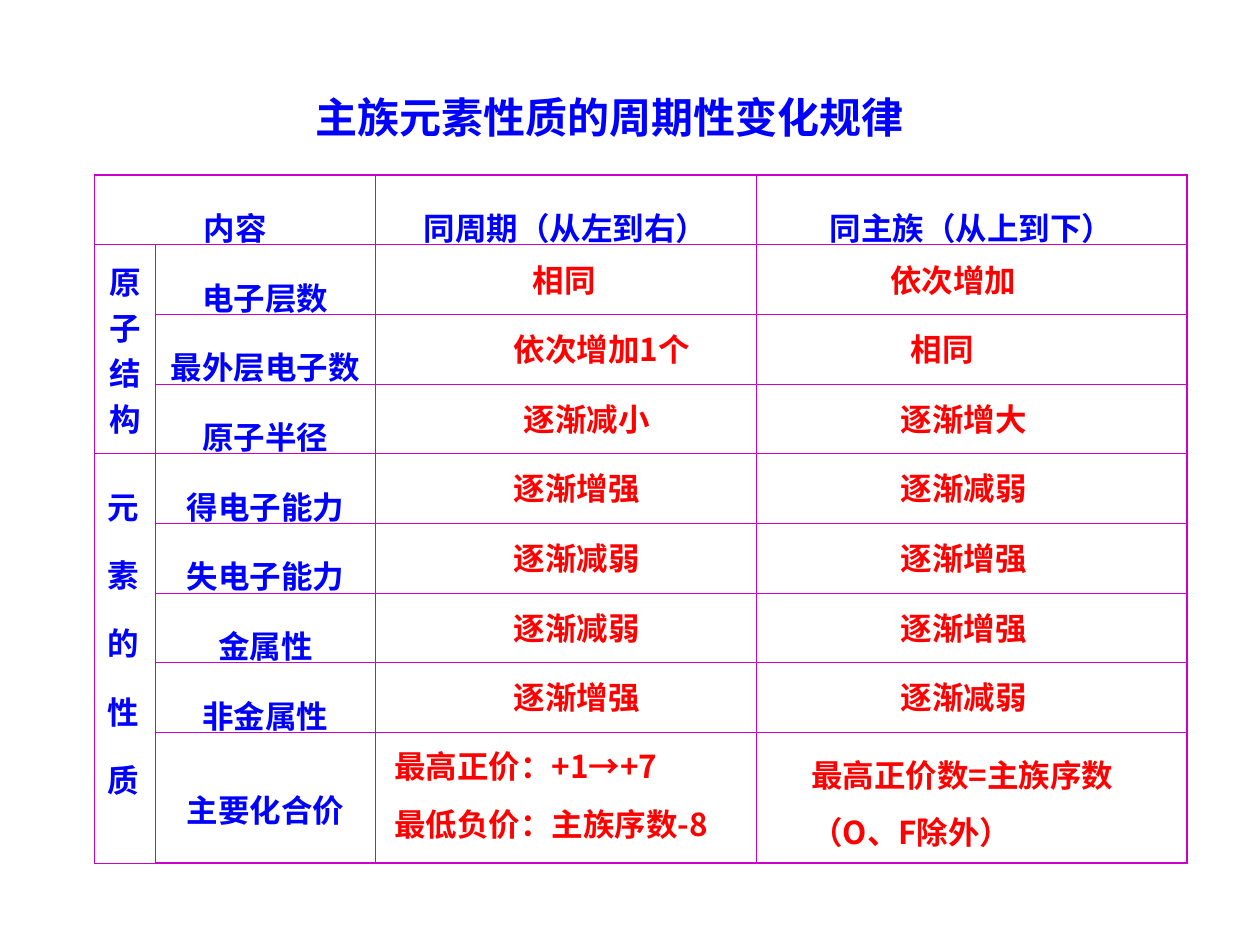
from pptx import Presentation
from pptx.dml.color import RGBColor
from pptx.enum.text import MSO_ANCHOR, MSO_AUTO_SIZE, PP_ALIGN
from pptx.oxml.ns import qn
from pptx.util import Pt
from lxml.etree import SubElement, Element

BLUE = RGBColor(0x00, 0x00, 0xFF)
RED = RGBColor(0xFF, 0x00, 0x00)
PURPLE = RGBColor(0xCC, 0x00, 0xCC)
LATIN, CJK = "Arial", "Noto Sans CJK SC"
INNER, OUTER = 0.45, 1.08

# Table grid, in points
LEFT, TOP = 54, 100
COLUMNS = [34.6, 126, 217.4, 246.2]
ROW = 39.8
ROWS = [ROW] * 8 + [74.9]
BOX_HEIGHT = 28.8


class SlideBuilder:
    def __init__(self, slide):
        self.slide = slide

    def fill_text(self, frame, lines, color, size=18, font=LATIN, **layout):
        frame.text = "\n".join(lines)
        for paragraph in frame.paragraphs:
            for name, value in layout.items():
                setattr(paragraph, name, value)
            for run in paragraph.runs:
                values = {"name": font, "size": Pt(size), "bold": True}
                for name, value in values.items():
                    setattr(run.font, name, value)
                run.font.color.rgb = color
                SubElement(run.font._element, qn("a:ea"), typeface=CJK)

    def text(self, left, top, width, height, lines, color,
             anchor=MSO_ANCHOR.MIDDLE, **style):
        box = self.slide.shapes.add_textbox(Pt(left), Pt(top), Pt(width), Pt(height))
        frame = box.text_frame
        self.fill_text(frame, lines, color, **style)
        frame.word_wrap = True
        frame.auto_size = MSO_AUTO_SIZE.SHAPE_TO_FIT_TEXT
        frame.vertical_anchor = anchor

    def table(self, left, top, columns, rows):
        table = self.slide.shapes.add_table(
            len(rows), len(columns), Pt(left), Pt(top),
            Pt(sum(columns)), Pt(sum(rows))).table
        table.first_row = table.horz_banding = False
        for column, width in zip(table.columns, columns):
            column.width = Pt(width)
        for row, height in zip(table.rows, rows):
            row.height = Pt(height)
        for r in range(len(rows)):
            for c in range(len(columns)):
                cell = table.cell(r, c)
                cell.fill.background()
                self.borders(cell, {
                    "L": c == 0, "R": c == len(columns) - 1,
                    "T": r == 0, "B": r == len(rows) - 1})
        return table

    def borders(self, cell, outer_sides):
        properties = cell._tc.get_or_add_tcPr()
        for index, (side, is_outer) in enumerate(outer_sides.items()):
            width = OUTER if is_outer else INNER
            line = Element(qn(f"a:ln{side}"), w=str(int(Pt(width))))
            fill = SubElement(line, qn("a:solidFill"))
            SubElement(fill, qn("a:srgbClr"), val=str(PURPLE))
            properties.insert(index, line)

    def heading(self, cell, label, anchor=MSO_ANCHOR.TOP,
                alignment=PP_ALIGN.CENTER, line_spacing=1.5):
        self.fill_text(cell.text_frame, [label], BLUE,
                       alignment=alignment, line_spacing=line_spacing)
        cell.vertical_anchor = anchor


def main():
    deck = Presentation()
    deck.slide_width, deck.slide_height = Pt(720), Pt(540)
    builder = SlideBuilder(deck.slides.add_slide(deck.slide_layouts[6]))

    # Title
    builder.text(121.7, 49, 453.6, 36, ["主族元素性质的周期性变化规律"], BLUE,
                 anchor=MSO_ANCHOR.TOP, size=24, alignment=PP_ALIGN.CENTER)

    # Table with merged group headings
    table = builder.table(LEFT, TOP, COLUMNS, ROWS)
    table.cell(0, 0).merge(table.cell(0, 1))
    table.cell(1, 0).merge(table.cell(3, 0))
    table.cell(4, 0).merge(table.cell(8, 0))
    builder.heading(table.cell(0, 0), "内容", MSO_ANCHOR.MIDDLE)
    builder.heading(table.cell(0, 2), "同周期（从左到右）")
    builder.heading(table.cell(0, 3), "同主族（从上到下）")
    builder.heading(table.cell(1, 0), "原子结构", MSO_ANCHOR.MIDDLE, line_spacing=1)
    builder.heading(table.cell(4, 0), "元素的性质", alignment=PP_ALIGN.LEFT)
    properties = ["电子层数", "最外层电子数", "原子半径", "得电子能力",
                  "失电子能力", "金属性", "非金属性"]
    for row, label in enumerate(properties, 1):
        builder.heading(table.cell(row, 1), label)
    builder.heading(table.cell(8, 1), "主要化合价", MSO_ANCHOR.MIDDLE)

    # Trends, each centred on its row: left, width, text
    period, group, width = 286.6, 507.6, 108
    trends = [
        [(297.4, 91.4, "相同"), (501.8, 136, "依次增加")],
        [(period, 118.8, "依次增加1个"), (513.4, 91.4, "相同")],
        [(292.3, width, "逐渐减小"), (group, width, "逐渐增大")],
    ] + [
        [(period, width, across), (group, width, down)]
        for across, down in [("逐渐增强", "逐渐减弱"), ("逐渐减弱", "逐渐增强"),
                             ("逐渐减弱", "逐渐增强"), ("逐渐增强", "逐渐减弱")]
    ]
    for row, pair in enumerate(trends, 1):
        middle = TOP + ROW * (row + 0.5)
        for left, box_width, trend in pair:
            has_digit = "1" in trend
            height = 50.4 if has_digit else BOX_HEIGHT
            builder.text(left, middle - height / 2, box_width, height, [trend],
                         RED, font=CJK if has_digit else LATIN)

    # Valences
    builder.text(218.2, 423.4, 209.5, BOX_HEIGHT, ["最高正价：+1→+7"], RED, font=CJK)
    builder.text(218.2, 456.5, 215.3, BOX_HEIGHT, ["最低负价：主族序数-8"], RED, font=CJK)
    builder.text(456.5, 417.6, 215.3, 72, ["最高正价数=主族序数", "（O、F除外）"],
                 RED, font=CJK, line_spacing=1.5)

    deck.save("out.pptx")


if __name__ == "__main__":
    main()
